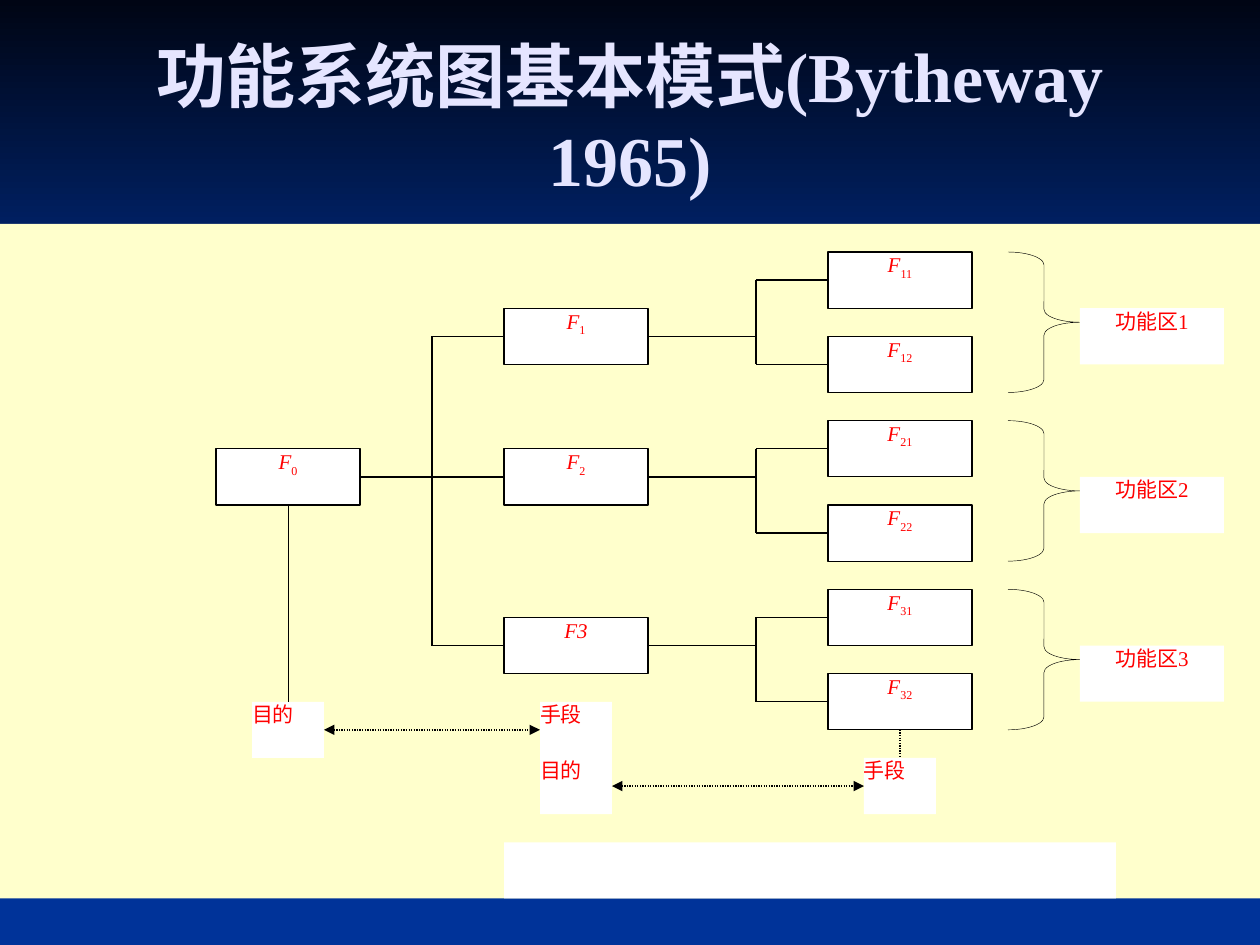
from dataclasses import dataclass

from lxml.etree import SubElement
from pptx import Presentation
from pptx.dml.color import RGBColor
from pptx.enum.dml import MSO_LINE
from pptx.enum.shapes import MSO_CONNECTOR, MSO_SHAPE
from pptx.enum.text import MSO_ANCHOR, PP_ALIGN
from pptx.oxml.ns import qn
from pptx.util import Cm, Pt

COLUMN = 25.4 / 35
ROW = 13.6 / 24
FIRST_ROW = 5.08
TOP, LEFT, BOTTOM, RIGHT = range(4)


@dataclass(frozen=True)
class Theme:
    font: str = "Times New Roman"
    title_size: int = 40
    label_size: int = 12
    line_width: float = 0.75
    hairline: float = 0.25
    backdrop: RGBColor = RGBColor(0x00, 0x33, 0x99)
    header_top: RGBColor = RGBColor(0x00, 0x05, 0x14)
    title: RGBColor = RGBColor(0xE5, 0xE5, 0xFF)
    panel: RGBColor = RGBColor(0xFF, 0xFF, 0xCC)
    box: RGBColor = RGBColor(0xFF, 0xFF, 0xFF)
    label: RGBColor = RGBColor(0xFF, 0x00, 0x00)
    line: RGBColor = RGBColor(0x00, 0x00, 0x00)


def across(column):
    return Cm(column * COLUMN)


def down(row):
    return Cm(FIRST_ROW + row * ROW)


class Diagram:
    def __init__(self, page, theme):
        self.page = page
        self.theme = theme
        page.background.fill.solid()
        page.background.fill.fore_color.rgb = theme.backdrop

    def header(self):
        band = self.page.shapes.add_shape(
            MSO_SHAPE.RECTANGLE, 0, 0, Cm(25.4), Cm(7.82))
        band.shadow.inherit = False
        band.line.fill.background()
        band.fill.gradient()
        band.fill.gradient_angle = 270
        colors = (self.theme.header_top, self.theme.backdrop)
        for position, (stop, color) in enumerate(zip(band.fill.gradient_stops, colors)):
            stop.position = position
            stop.color.rgb = color

    def title(self, text):
        box = self.page.shapes.add_textbox(Cm(1.27), Cm(0.76), Cm(22.86), Cm(3.18))
        frame = box.text_frame
        frame.word_wrap = True
        frame.vertical_anchor = MSO_ANCHOR.MIDDLE
        frame.text = text
        paragraph = frame.paragraphs[0]
        paragraph.alignment = PP_ALIGN.CENTER
        font = paragraph.runs[0].font
        font.name = self.theme.font
        font.size = Pt(self.theme.title_size)
        font.bold = True
        font.color.rgb = self.theme.title

    def rectangle(self, column, row, columns, rows, color, outlined=False):
        box = self.page.shapes.add_shape(
            MSO_SHAPE.RECTANGLE, across(column), down(row),
            across(columns), Cm(rows * ROW))
        box.shadow.inherit = False
        box.fill.solid()
        box.fill.fore_color.rgb = color
        if outlined:
            box.line.color.rgb = self.theme.line
            box.line.width = Pt(self.theme.line_width)
        else:
            box.line.fill.background()
        return box

    def caption(self, box, text, alignment):
        frame = box.text_frame
        frame.margin_left = frame.margin_right = 0
        frame.margin_top = frame.margin_bottom = 0
        frame.vertical_anchor = MSO_ANCHOR.TOP
        frame.word_wrap = True
        frame.text = text
        paragraph = frame.paragraphs[0]
        paragraph.alignment = alignment
        self.style(paragraph.runs[0])
        return paragraph

    def style(self, span):
        span.font.name = self.theme.font
        span.font.size = Pt(self.theme.label_size)
        span.font.color.rgb = self.theme.label

    def function(self, column, row, name, subscript=""):
        box = self.rectangle(column, row, 4, 2, self.theme.box, outlined=True)
        paragraph = self.caption(box, name, PP_ALIGN.CENTER)
        paragraph.runs[0].font.italic = True
        if subscript:
            span = paragraph.add_run()
            span.text = subscript
            self.style(span)
            span.font.italic = False
            span.font._element.set("baseline", "-25000")
        return box

    def label(self, column, row, text, columns=2, alignment=PP_ALIGN.JUSTIFY):
        box = self.rectangle(column, row, columns, 2, self.theme.box)
        self.caption(box, text, alignment)
        return box

    def brace(self, column, row):
        brace = self.page.shapes.add_shape(
            MSO_SHAPE.RIGHT_BRACE, across(column), down(row), across(2), Cm(5 * ROW))
        brace.shadow.inherit = False
        brace.adjustments[0] = 0.18
        brace.fill.background()
        brace.line.color.rgb = self.theme.line
        brace.line.width = Pt(self.theme.hairline)

    def line(self, start, end, source=None, target=None,
             width=None, dotted=False, arrows=False):
        line = self.page.shapes.add_connector(
            MSO_CONNECTOR.STRAIGHT, across(start[0]), down(start[1]),
            across(end[0]), down(end[1]))
        if source:
            line.begin_connect(*source)
        if target:
            line.end_connect(*target)
        line.line.color.rgb = self.theme.line
        line.line.width = Pt(width or self.theme.line_width)
        if dotted:
            line.line.dash_style = MSO_LINE.ROUND_DOT
        if arrows:
            outline = line.line._get_or_add_ln()
            for tag in ("a:headEnd", "a:tailEnd"):
                SubElement(outline, qn(tag)).set("type", "triangle")
        SubElement(line._element.spPr, qn("a:effectLst"))


def main():
    deck = Presentation()
    deck.slide_width, deck.slide_height = Cm(25.4), Cm(19.05)
    theme = Theme()
    diagram = Diagram(deck.slides.add_slide(deck.slide_layouts[6]), theme)

    diagram.header()
    diagram.title("功能系统图基本模式(Bytheway 1965)")
    diagram.rectangle(0, -1, 35, 24, theme.panel)

    root = diagram.function(6, 7, "F", "0")
    diagram.line((12, 3), (12, 14))

    branches = ((2, "F", "1"), (7, "F", "2"), (13, "F3", ""))
    for number, (row, name, subscript) in enumerate(branches, 1):
        branch = diagram.function(14, row, name, subscript)
        middle = row + 1
        if number == 2:
            diagram.line((10, middle), (14, middle), (root, RIGHT), (branch, LEFT))
        else:
            diagram.line((12, middle), (14, middle), target=(branch, LEFT))
        diagram.line((18, middle), (21, middle), source=(branch, RIGHT))

        top = 6 * (number - 1)
        diagram.line((21, top + 1), (21, top + 4))
        for child in (1, 2):
            child_row = top + 3 * (child - 1)
            leaf = diagram.function(23, child_row, "F", f"{number}{child}")
            diagram.line((21, child_row + 1), (23, child_row + 1), target=(leaf, LEFT))
        diagram.brace(28, top)
        diagram.label(30, top + 2, f"功能区{number}", 4, PP_ALIGN.CENTER)

    root_end = diagram.label(7, 16, "目的")
    branch_means = diagram.label(15, 16, "手段")
    branch_end = diagram.label(15, 18, "目的")
    leaf_means = diagram.label(24, 18, "手段")
    diagram.line((8, 9), (8, 16), (root, BOTTOM), (root_end, TOP),
                 width=theme.hairline, dotted=True)
    diagram.line((9, 17), (15, 17), (root_end, RIGHT), (branch_means, LEFT),
                 dotted=True, arrows=True)
    diagram.line((17, 19), (24, 19), (branch_end, RIGHT), (leaf_means, LEFT),
                 dotted=True, arrows=True)
    diagram.line((25, 17), (25, 18), (leaf, BOTTOM), (leaf_means, TOP), dotted=True)
    diagram.rectangle(14, 21, 17, 2, theme.box)

    deck.save("out.pptx")


if __name__ == "__main__":
    main()
